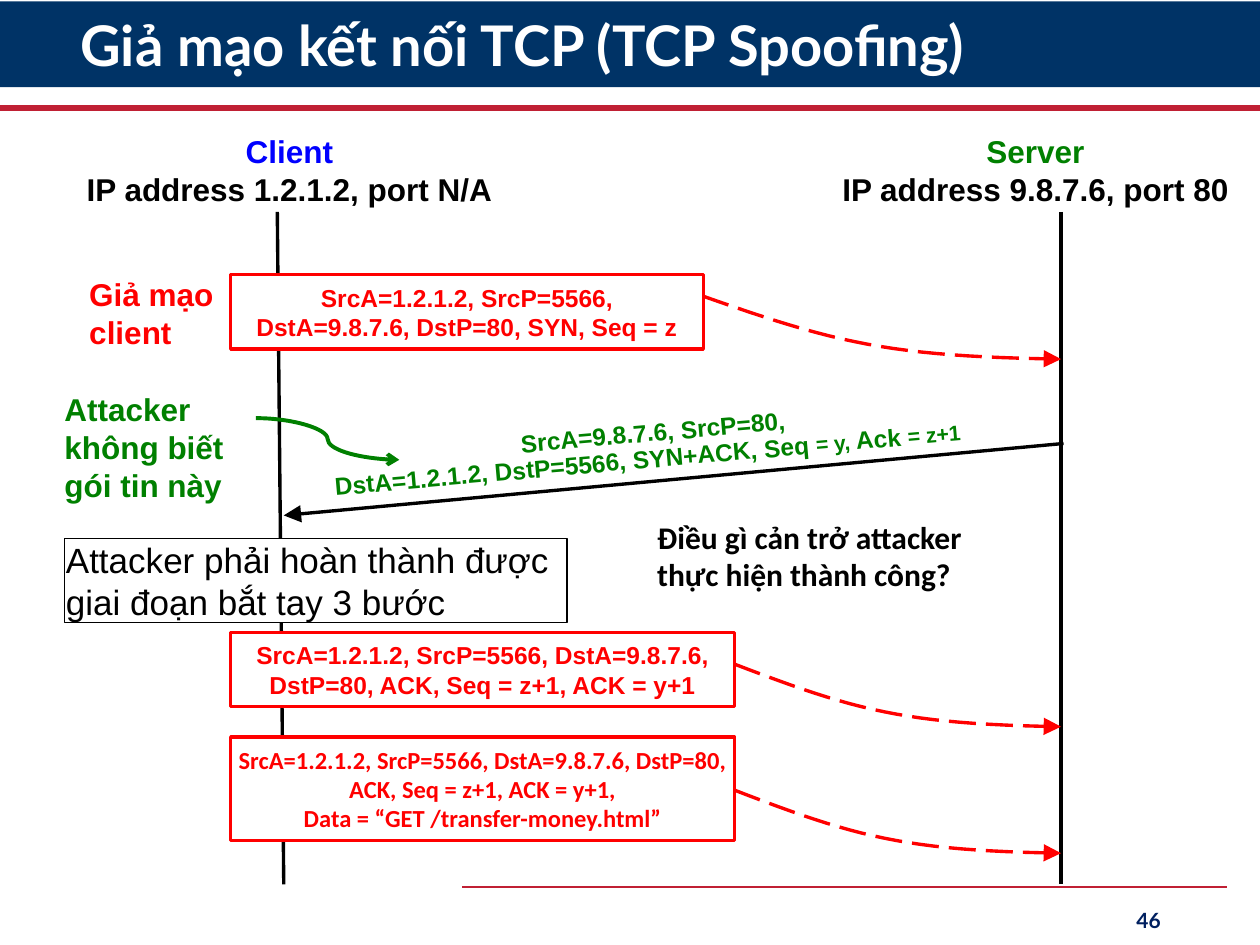
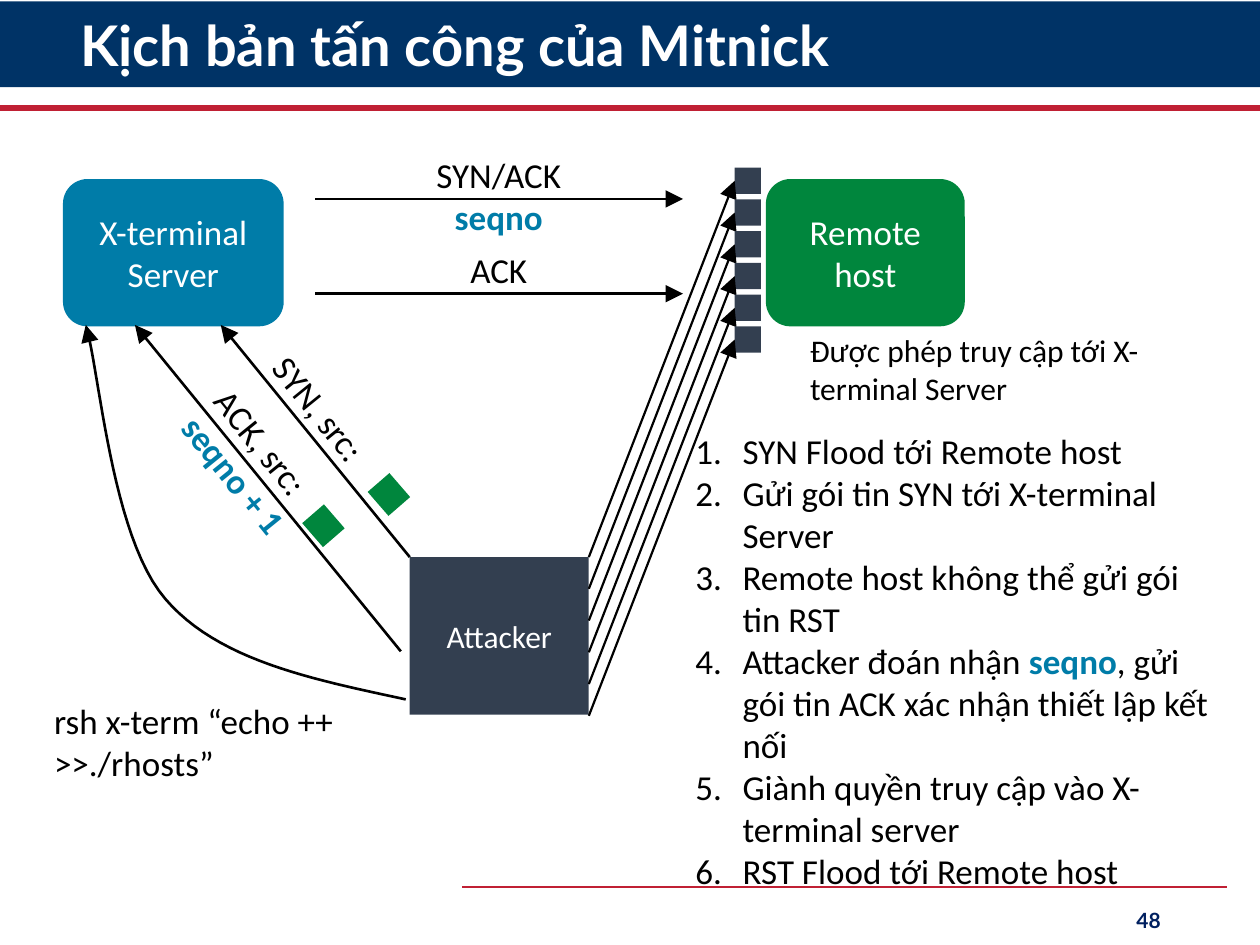
from lxml.etree import SubElement
from pptx import Presentation
from pptx.dml.color import RGBColor
from pptx.enum.dml import MSO_LINE
from pptx.enum.shapes import MSO_CONNECTOR as Link, MSO_SHAPE as Form
from pptx.enum.text import MSO_ANCHOR as Anchor, PP_ALIGN as Align
from pptx.oxml.ns import qn
from pptx.util import Cm, Pt

COLORS = {
    "white": "FFFFFF", "black": "000000", "band": "003366", "rule": "C02034",
    "number": "002060", "client": "0000FF", "server": "008000", "spoof": "FF0000",
    "terminal": "007CA8", "remote": "00863D", "attacker": "333F50",
}
BLANK_LAYOUT = 6


def color_of(name):
    return RGBColor.from_string(COLORS[name])


def bezier(points, steps=24):
    for step in range(1, steps + 1):
        t = step / steps
        weights = ((1 - t) ** 3, 3 * t * (1 - t) ** 2, 3 * t * t * (1 - t), t ** 3)
        yield tuple(Cm(sum(w * point[axis] for w, point in zip(weights, points)))
                    for axis in (0, 1))


class Painter:
    def __init__(self, deck, font="Calibri"):
        self.deck = deck
        self.font = font
        self.page = None

    def start_page(self, title, number):
        self.page = self.deck.slides.add_slide(self.deck.slide_layouts[BLANK_LAYOUT])
        self.shape(Form.RECTANGLE, (0, 0.03, 25.4, 1.73), fill="band")
        self.line((0, 2.18), (25.4, 2.18), "rule", 3.5)
        self.line((9.32, 17.88), (24.74, 17.88), "rule", 1.5)
        self.text((1.37, 0.2, 22.28, 1.55), [title], size=32, font="Lato", color="white",
                  bold=True, anchor=Anchor.MIDDLE, spacing=0.9)
        self.text((17.93, 18.03, 5.72, 1.02), [str(number)], size=12, font="Lato",
                  color="number", bold=True, anchor=Anchor.MIDDLE, align=Align.RIGHT)

    def style(self, font, size=20, color="black", bold=False, name=None, baseline=None):
        font.size = Pt(size)
        font.color.rgb = color_of(color)
        font.bold = bold
        font.name = name or self.font

    def fill_frame(self, frame, lines, size=20, color="black", bold=False, font=None,
                   align=Align.LEFT, anchor=Anchor.TOP, margins=None, spacing=None,
                   numbered=False):
        frame.word_wrap = True
        frame.vertical_anchor = anchor
        if margins is not None:
            frame.margin_left = frame.margin_right = Cm(margins)
            frame.margin_top = frame.margin_bottom = 0
        base = dict(size=size, color=color, bold=bold, name=font)
        for index, line in enumerate(lines):
            para = frame.add_paragraph() if index else frame.paragraphs[0]
            para.alignment = align
            if spacing:
                para.line_spacing = spacing
            if numbered:
                settings = para._p.get_or_add_pPr()
                settings.set("marL", str(Cm(0.95)))
                settings.set("indent", str(-Cm(0.95)))
                SubElement(settings, qn("a:buAutoNum"), type="arabicPeriod")
            spans = [(line, {})] if isinstance(line, str) else line
            if len(spans) == 1:
                para.text = spans[0][0]
                self.style(para.font, **{**base, **spans[0][1]})
                continue
            for words, changes in spans:
                span = para.add_run()
                span.text = words
                self.style(span.font, **{**base, **changes})
                if "baseline" in changes:
                    span._r.get_or_add_rPr().set("baseline", str(changes["baseline"]))

    def text(self, place, lines, rotation=0, **look):
        box = self.page.shapes.add_textbox(*map(Cm, place))
        box.rotation = rotation
        self.fill_frame(box.text_frame, lines, **look)

    def shape(self, form, place, lines=(), fill="white", outline=None, width=1.92,
              rotation=0, **look):
        box = self.page.shapes.add_shape(form, *map(Cm, place))
        box.shadow.inherit = False
        box.rotation = rotation
        box.fill.solid()
        box.fill.fore_color.rgb = color_of(fill)
        if outline:
            self.stroke(box, outline, width)
        else:
            box.line.fill.background()
        if lines:
            self.fill_frame(box.text_frame, lines, **look)
        return box

    def node(self, form, place, lines, fill, size=20):
        return self.shape(form, place, lines, fill=fill, size=size, color="white",
                          align=Align.CENTER, anchor=Anchor.MIDDLE)

    def packet(self, place, lines, font="Arial", margins=0.3):
        self.shape(Form.RECTANGLE, place, lines, outline="spoof", size=14, font=font,
                   color="spoof", bold=True, align=Align.CENTER, anchor=Anchor.MIDDLE,
                   margins=margins)

    def stroke(self, item, color, width, arrow=None, arrow_size="lg", dashed=False):
        item.line.color.rgb = color_of(color)
        item.line.width = Pt(width)
        if dashed:
            item.line.dash_style = MSO_LINE.LONG_DASH
        if arrow:
            outline = item._element.spPr.find(qn("a:ln"))
            SubElement(outline, qn("a:tailEnd"), type=arrow, w=arrow_size, len=arrow_size)

    def line(self, start, end, color="black", width=1.5, kind=Link.STRAIGHT, target=None,
             **look):
        link = self.page.shapes.add_connector(kind, *map(Cm, start + end))
        if target is not None:
            link.end_connect(target, 1)
        self.stroke(link, color, width, **look)
        SubElement(link._element.spPr, qn("a:effectLst"))

    def curve(self, start, *segments, color="black", width=1.5, **look):
        builder = self.page.shapes.build_freeform(*map(Cm, start))
        for segment in segments:
            builder.add_line_segments(list(bezier((start, *segment))), close=False)
            start = segment[-1]
        shape = builder.convert_to_shape()
        shape.shadow.inherit = False
        shape.fill.background()
        self.stroke(shape, color, width, arrow="triangle", **look)

    def spoofed_arrow(self, start, end):
        (x, y), (right, bottom) = start, end
        bends = [(x + (right - x) * across, y + (bottom - y) * down)
                 for across, down in ((0.37, 0.74), (0.52, 0.96))]
        self.curve(start, (*bends, end), color="spoof", width=1.92, dashed=True)


def draw_spoofing(painter):
    painter.start_page("Giả mạo kết nối TCP (TCP Spoofing)", 46)
    label = dict(size=18, font="Arial", bold=True, margins=0)
    server_x = 21.39
    painter.line((5.59, 4.27), (5.72, 17.83), width=1.92)
    painter.line((server_x, 4.27), (server_x, 17.83), width=1.92)
    for place, role, color, address in (
        ((1.16, 2.67, 9.35, 1.55), "Client", "client", "IP address 1.2.1.2, port N/A"),
        ((16.94, 2.67, 7.87, 1.57), "Server", "server", "IP address 9.8.7.6, port 80"),
    ):
        painter.text(place, [[(role, {"color": color})], address], align=Align.CENTER, **label)

    painter.text((1.8, 5.54, 2.9, 1.55), ["Giả mạo client"], color="spoof", **label)
    painter.packet((4.65, 5.54, 9.53, 1.5),
                   ["SrcA=1.2.1.2, SrcP=5566,\vDstA=9.8.7.6, DstP=80, SYN, Seq = z"])
    painter.spoofed_arrow((14.17, 5.97), (server_x, 7.24))

    painter.line((21.44, 8.94), (5.72, 10.39), width=1.92, arrow="triangle")
    reply = dict(size=14, font="Arial", bold=True, color="server", margins=0,
                 spacing=Pt(16.5), rotation=-5)
    raised = {"size": 21, "baseline": 2000}
    painter.text((10.49, 8.41, 5.5, 0.58), ["SrcA=9.8.7.6, SrcP=80,"], **reply)
    painter.text((6.73, 8.99, 13, 0.58), [[
        ("DstA=1.2.1.2, DstP=5566, SYN+ACK, Seq ", {}), ("= y, ", raised),
        ("Ack ", {}), ("= z+1", raised)]], **reply)

    painter.shape(Form.RECTANGLE, (1.3, 10.85, 10.13, 1.7),
                  ["Attacker phải hoàn thành được giai đoạn bắt tay 3 bước"],
                  outline="black", width=0.75, font="Arial", margins=0.03)
    painter.packet((4.65, 12.75, 10.16, 1.5), [
        "SrcA=1.2.1.2, SrcP=5566, DstA=9.8.7.6, DstP=80, ACK, Seq = z+1, ACK = y+1"])
    painter.spoofed_arrow((14.81, 13.39), (server_x, 14.65))
    painter.packet((4.65, 14.86, 10.16, 2.08), [
        "SrcA=1.2.1.2, SrcP=5566, DstA=9.8.7.6, DstP=80, ACK, Seq = z+1, ACK = y+1,",
        "Data = “GET /transfer-money.html”"], font="Calibri", margins=0)
    painter.spoofed_arrow((14.81, 15.93), (server_x, 17.2))

    painter.text((1.3, 7.87, 4, 2.34), ["Attacker không biết gói tin này"],
                 color="server", **label)
    painter.line((5.16, 8.43), (8.05, 9.27), "server", 2.25, kind=Link.CURVE,
                 arrow="arrow", arrow_size="med")
    painter.text((13, 10.31, 7.87, 1.8),
                 ["Điều gì cản trở attacker thực hiện thành công?"], size=18, bold=True)


def draw_mitnick(painter):
    painter.start_page("Kịch bản tấn công của Mitnick", 48)
    seqno = {"color": "terminal", "bold": True}
    painter.node(Form.ROUNDED_RECTANGLE, (1.27, 3.61, 4.45, 2.97),
                 ["X-terminal", "Server"], "terminal")
    painter.node(Form.ROUNDED_RECTANGLE, (15.44, 3.61, 4.01, 2.97),
                 ["Remote", "host"], "remote")
    painter.node(Form.RECTANGLE, (8.26, 11.23, 3.61, 3.18), ["Attacker"], "attacker", size=18)
    painter.text((16.08, 6.55, 8.26, 1.8), ["Được phép truy cập tới X-terminal Server"], size=18)

    for flood in range(6):
        drop = 0.64 * flood
        slot = painter.shape(Form.RECTANGLE, (14.81, 3.38 + drop, 0.53, 0.53), fill="attacker")
        painter.line((11.87, 11.23 + drop), (14.81, 3.65 + drop), width=1.25,
                     target=slot, arrow="triangle")

    painter.text((13.77, 8.53, 11, 9.65), [
        "SYN Flood tới Remote host",
        "Gửi gói tin SYN tới X-terminal Server",
        "Remote host không thể gửi gói tin RST",
        [("Attacker đoán nhận ", {}), ("seqno", seqno),
         (", gửi gói tin ACK xác nhận thiết lập kết nối", {})],
        "Giành quyền truy cập vào X-terminal server",
        "RST Flood tới Remote host",
    ], numbered=True)

    for start, end, place, lines, marker in (
        ((8.26, 11.23), (4.45, 6.55), (4.6, 8.43, 4.88, 1.12), ["SYN, src:"], (7.52, 9.68)),
        ((8.08, 13.13), (2.72, 6.55), (3.1, 8.94, 4.88, 1.96),
         ["ACK, src:", [("seqno + 1", seqno)]], (6.2, 10.31)),
    ):
        painter.line(start, end, arrow="triangle")
        painter.text(place, lines, rotation=51)
        painter.shape(Form.RECTANGLE, (*marker, 0.64, 0.58), fill="remote", rotation=49.1)

    for y, place, lines in (
        (4.01, (8.05, 2.97, 4.01, 1.96), ["SYN/ACK", [("seqno", seqno)]]),
        (5.92, (8.05, 4.88, 4.01, 1.12), ["ACK"]),
    ):
        painter.line((6.35, y), (13.77, y), arrow="triangle")
        painter.text(place, lines, align=Align.CENTER)

    painter.curve((8.18, 14.1), ((6.27, 13.69), (4.39, 13.31), (3.33, 12.07)),
                  ((2.24, 10.8), (2.01, 7.47), (1.73, 6.55)))
    painter.text((0.84, 13.97, 8.28, 1.96), ["rsh x-term “echo ++ >>./rhosts”"])


def main():
    deck = Presentation()
    deck.slide_width, deck.slide_height = Cm(25.4), Cm(19.05)
    painter = Painter(deck)
    draw_spoofing(painter)
    draw_mitnick(painter)
    deck.save("out.pptx")


if __name__ == "__main__":
    main()
